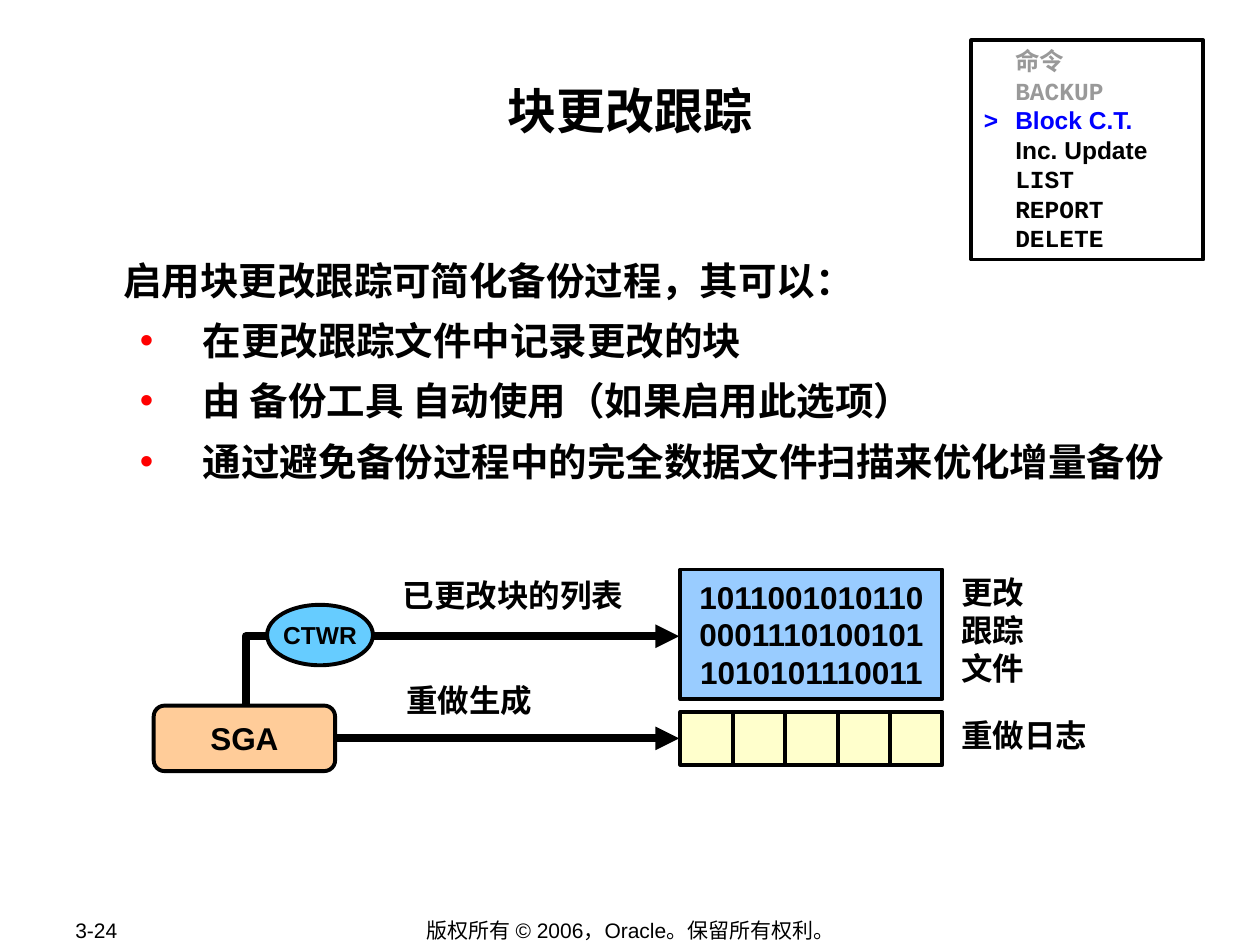
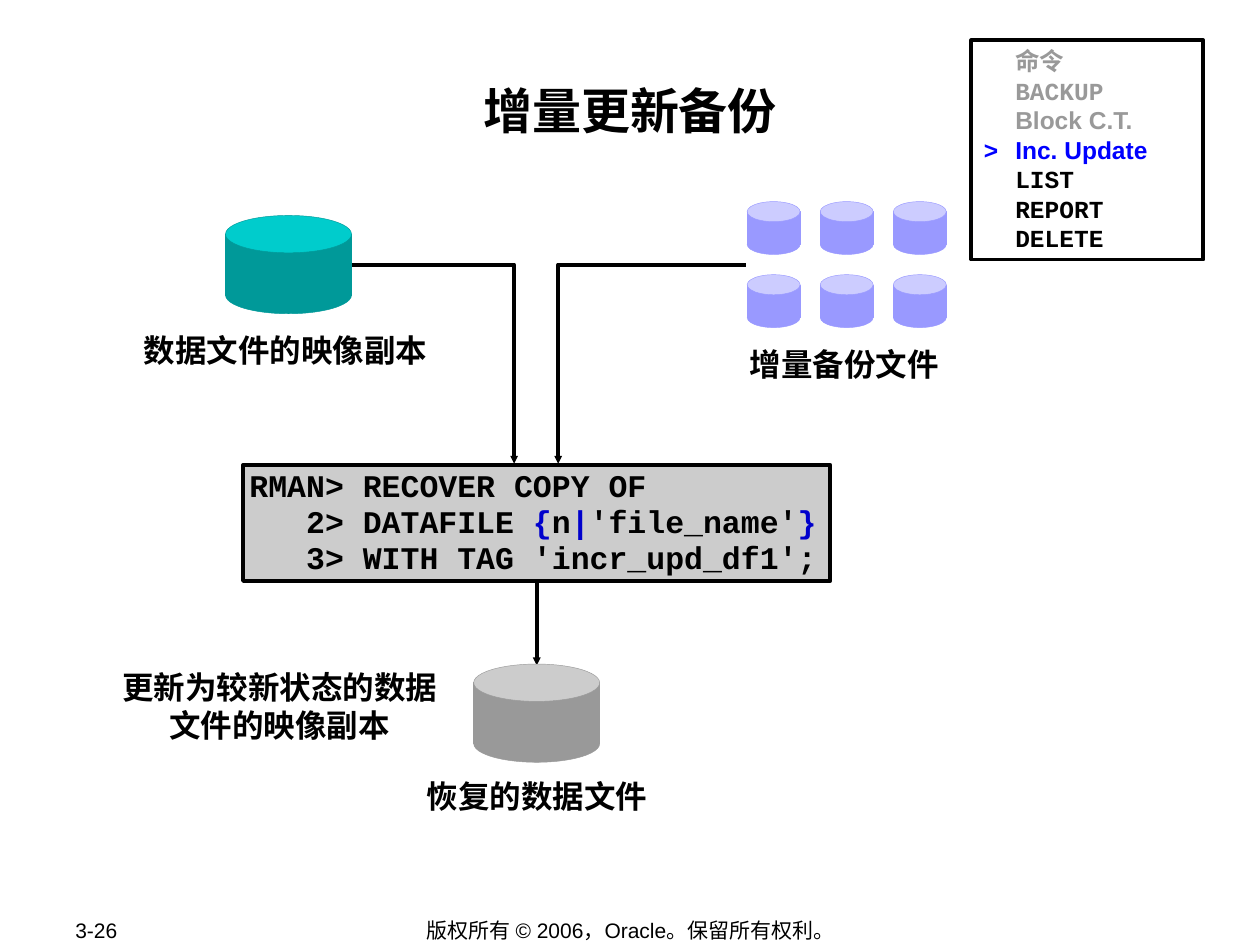
from itertools import groupby

from lxml.etree import SubElement
from pptx import Presentation
from pptx.dml.color import RGBColor
from pptx.enum.shapes import MSO_CONNECTOR, MSO_SHAPE
from pptx.enum.text import MSO_ANCHOR, MSO_AUTO_SIZE, PP_ALIGN
from pptx.oxml.ns import qn
from pptx.util import Inches, Pt

BLACK = RGBColor(0, 0, 0)
GREY = RGBColor(0x99, 0x99, 0x99)
SILVER = RGBColor(0xCC, 0xCC, 0xCC)
BLUE = RGBColor(0, 0, 0xFF)
NAVY = RGBColor(0, 0, 0xCC)
TEAL = RGBColor(0, 0x99, 0x99)
AQUA = RGBColor(0, 0xCC, 0xCC)
VIOLET = RGBColor(0x99, 0x99, 0xFF)
LILAC = RGBColor(0xCC, 0xCC, 0xFF)
CREAM = RGBColor(0xFF, 0xFF, 0xCC)
PEACH = RGBColor(0xFF, 0xCC, 0x99)
SKY = RGBColor(0x99, 0xCC, 0xFF)
CYAN = RGBColor(0x66, 0xCC, 0xFF)
SANS, MONO, HAN = "Arial", "Courier New", "Noto Sans CJK SC"
LEFT, MID = PP_ALIGN.LEFT, PP_ALIGN.CENTER
WIDE, HIGH = 10, 7.5

RIGHTS = "版权所有 © 2006，Oracle。保留所有权利。"
MENU = [("命令", SANS), ("BACKUP", MONO), ("Block C.T.", SANS),
        ("Inc. Update", SANS), ("LIST", MONO), ("REPORT", MONO),
        ("DELETE", MONO)]
MENU_BOX = (7.71, 0.32, 1.84, 1.74)

TRACK = {
    "title": "块更改跟踪",
    "page": "3-24",
    "menu": "Block C.T.",
    "lead": "启用块更改跟踪可简化备份过程，其可以：",
    "points": ["在更改跟踪文件中记录更改的块",
               "由 备份工具 自动使用（如果启用此选项）",
               "通过避免备份过程中的完全数据文件扫描来优化增量备份"],
    "bits": ["1011001010110", "0001110100101", "1010101110011"],
    "labels": [("已更改块的列表", (2.79, 4.52, 2.56, 0.4), MID),
               ("重做生成", (3.05, 5.36, 1.35, 0.4), MID),
               ("重做日志", (7.53, 5.63, 1.35, 0.4), LEFT),
               ("更改\n跟踪\n文件", (7.53, 4.5, 0.9, 1), LEFT)],
}
UPDATE = {
    "title": "增量更新备份",
    "page": "3-26",
    "menu": "Inc. Update",
    "code": ["RMAN> RECOVER COPY OF",
             "   2> DATAFILE {n|'file_name'}",
             "   3> WITH TAG 'incr_upd_df1';"],
    "labels": [("数据文件的映像副本", (0.6, 2.58, 3.33, 0.39), MID),
               ("增量备份文件", (5.7, 2.69, 2, 0.39), MID),
               ("恢复的数据文件", (2.97, 6.12, 2.58, 0.39), MID),
               ("更新为较新状态的数据文件的映像副本",
                (0.76, 5.25, 2.92, 0.69), MID)],
}


def style(para, size, color=BLACK, name=SANS, bold=True, align=LEFT):
    para.alignment = align
    font = para.font
    font.size, font.bold, font.name = Pt(size), bold, name
    font.color.rgb = color
    base = para._p.pPr.find(qn("a:defRPr"))
    SubElement(base, qn("a:ea"), typeface=HAN)


def setup(frame, wrap=True, anchor=MSO_ANCHOR.TOP, pad=(0.1, 0.05)):
    frame.word_wrap, frame.vertical_anchor = wrap, anchor
    frame.auto_size = MSO_AUTO_SIZE.NONE
    frame.margin_left = frame.margin_right = Inches(pad[0])
    frame.margin_top = frame.margin_bottom = Inches(pad[1])


def paras(frame, count):
    """Return count paragraphs of an empty frame."""
    return [frame.paragraphs[0]] + [frame.add_paragraph()
                                    for _ in range(count - 1)]


def fill(frame, lines, size, **look):
    for para, line in zip(paras(frame, len(lines)), lines):
        para.text = line
        style(para, size, **look)


def label(slide, text, box, align, size=18, bold=True, **frame):
    area = slide.shapes.add_textbox(*map(Inches, box)).text_frame
    setup(area, **frame)
    fill(area, text.split("\n"), size, align=align, bold=bold)


def shape(slide, kind, box, color=None, edge=BLACK, width=2.25):
    item = slide.shapes.add_shape(kind, *map(Inches, box))
    item.shadow.inherit = False
    if color is None:
        item.fill.background()
    else:
        item.fill.solid()
        item.fill.fore_color.rgb = color
    item.line.color.rgb, item.line.width = edge, Pt(width)
    return item


def node(slide, kind, box, color, lines, size=18):
    item = shape(slide, kind, box, color)
    setup(item.text_frame, wrap=False, anchor=MSO_ANCHOR.MIDDLE)
    fill(item.text_frame, lines, size, align=MID)


def route(slide, points, width=2.25, arrow="sm"):
    """Draw a straight connector or a bent path through the points."""
    spots = [(Inches(x), Inches(y)) for x, y in points]
    if len(spots) == 2:
        item = slide.shapes.add_connector(MSO_CONNECTOR.STRAIGHT,
                                          *spots[0], *spots[1])
        SubElement(item._element.spPr, qn("a:effectLst"))
    else:
        pen = slide.shapes.build_freeform(*spots[0])
        pen.add_line_segments(spots[1:], close=False)
        item = pen.convert_to_shape()
        item.shadow.inherit = False
        item.fill.background()
    item.line.color.rgb, item.line.width = BLACK, Pt(width)
    if arrow:
        SubElement(item._element.spPr.find(qn("a:ln")), qn("a:tailEnd"),
                   type="triangle", w=arrow, len=arrow)


def drum(slide, x, y, w, h, dark, light):
    cap = 0.38 * h
    for kind, top, tall, color in [
            (MSO_SHAPE.RECTANGLE, y + cap / 2, h - cap, dark),
            (MSO_SHAPE.OVAL, y, cap, light),
            (MSO_SHAPE.OVAL, y + h - cap, cap, dark)]:
        shape(slide, kind, (x, top, w, tall), color, dark, 0.25)


def menu(slide, current):
    """List the commands: past ones grey, the current one marked."""
    frame = shape(slide, MSO_SHAPE.RECTANGLE, MENU_BOX).text_frame
    setup(frame)
    now = [name for name, _ in MENU].index(current)
    for i, (para, (name, face)) in enumerate(
            zip(paras(frame, len(MENU)), MENU)):
        para.text = (">" if i == now else "") + "\t" + name
        tabs = SubElement(para._p.get_or_add_pPr(), qn("a:tabLst"))
        SubElement(tabs, qn("a:tab"), pos=str(Inches(0.25)), algn="l")
        color = GREY if i < now else BLUE if i == now else BLACK
        style(para, 14, color, face)


def place(holder, box):
    holder.left, holder.top, holder.width, holder.height = map(Inches, box)
    setup(holder.text_frame, pad=(0.01, 0.01))
    return holder.text_frame


def start(deck, layout, data):
    """Add a slide with its title, menu, labels and footer."""
    slide = deck.slides.add_slide(deck.slide_layouts[layout])
    frame = place(slide.shapes.title, (1, 0.58, 8, 0.96))
    fill(frame, [data["title"]], 28, align=MID)
    frame.paragraphs[0].line_spacing = 1.1
    menu(slide, data["menu"])
    for text, box, align in data["labels"]:
        label(slide, text, box, align)
    for text, box, align in [(data["page"], (0.5, 7.28, 1.06, 0.2), LEFT),
                             (RIGHTS, (2.76, 7.28, 4.49, 0.2), MID)]:
        label(slide, text, box, align, size=12, bold=False, wrap=False,
              anchor=MSO_ANCHOR.MIDDLE)
    return slide


def bullets(frame, lead, points):
    for i, (para, text) in enumerate(
            zip(paras(frame, 1 + len(points)), [lead] + points)):
        para.text = text
        para.level = min(i, 1)
        props = para._p.get_or_add_pPr()
        if i:
            props.set("marL", str(Inches(0.63)))
            props.set("indent", str(Inches(-0.5)))
            tint = SubElement(props, qn("a:buClr"))
            SubElement(tint, qn("a:srgbClr"), val="FF0000")
            SubElement(props, qn("a:buFont"), typeface=SANS)
            SubElement(props, qn("a:buChar"), char="•")
        else:
            props.set("marL", "0")
            props.set("indent", "0")
            SubElement(props, qn("a:buNone"))
        para.line_spacing = 1.1
        para.space_before = Pt(5.5 if i else 0)
        style(para, 22)


def track(deck):
    slide = start(deck, 1, TRACK)
    bullets(place(slide.placeholders[1], (0.97, 1.99, 8.4, 1.87)),
            TRACK["lead"], TRACK["points"])
    x, wide, end = 5.4, 2.08, 5.39
    route(slide, [(1.95, 5.85), (1.95, 5.05), (end, 5.05)], 4.5, "med")
    route(slide, [(2.65, 5.86), (end, 5.86)], 4.5, "med")
    node(slide, MSO_SHAPE.RECTANGLE, (x, 4.52, wide, 1.03), SKY,
         TRACK["bits"])
    node(slide, MSO_SHAPE.ROUNDED_RECTANGLE, (1.22, 5.6, 1.44, 0.52),
         PEACH, ["SGA"])
    node(slide, MSO_SHAPE.OVAL, (2.12, 4.8, 0.84, 0.48), CYAN, ["CTWR"], 14)
    top, tall, cells = 5.65, 0.42, 5
    shape(slide, MSO_SHAPE.RECTANGLE, (x, top, wide, tall), CREAM)
    for i in range(1, cells):
        cut = x + wide * i / cells
        route(slide, [(cut, top), (cut, top + tall)], arrow=None)


def script(slide, lines):
    frame = shape(slide, MSO_SHAPE.RECTANGLE, (1.93, 3.69, 4.66, 0.92),
                  SILVER).text_frame
    setup(frame, wrap=False, anchor=MSO_ANCHOR.MIDDLE, pad=(0.05, 0.05))
    for para, line in zip(paras(frame, len(lines)), lines):
        para.line_spacing = 0.95
        style(para, 18, name=MONO)
        for mark, chars in groupby(line, lambda c: c in "{|}"):
            run = para.add_run()
            run.text = "".join(chars)
            if mark:
                run.font.color.rgb = NAVY


def update(deck):
    slide = start(deck, 5, UPDATE)
    bend, base = 2.1, 3.68
    for x, turn in [(2.59, 4.08), (5.92, 4.43)]:
        route(slide, [(x, bend), (turn, bend), (turn, base)])
    route(slide, [(4.26, 4.28), (4.26, 5.28)])
    script(slide, UPDATE["code"])
    drum(slide, 1.79, 1.71, 1, 0.78, TEAL, AQUA)
    drum(slide, 3.76, 5.27, 1, 0.78, GREY, SILVER)
    for i in range(6):
        row, col = divmod(i, 3)
        drum(slide, 5.93 + 0.58 * col, 1.6 + 0.58 * row, 0.42, 0.42,
             VIOLET, LILAC)


def main():
    deck = Presentation()
    deck.slide_width, deck.slide_height = Inches(WIDE), Inches(HIGH)
    track(deck)
    update(deck)
    deck.save("out.pptx")


if __name__ == "__main__":
    main()
